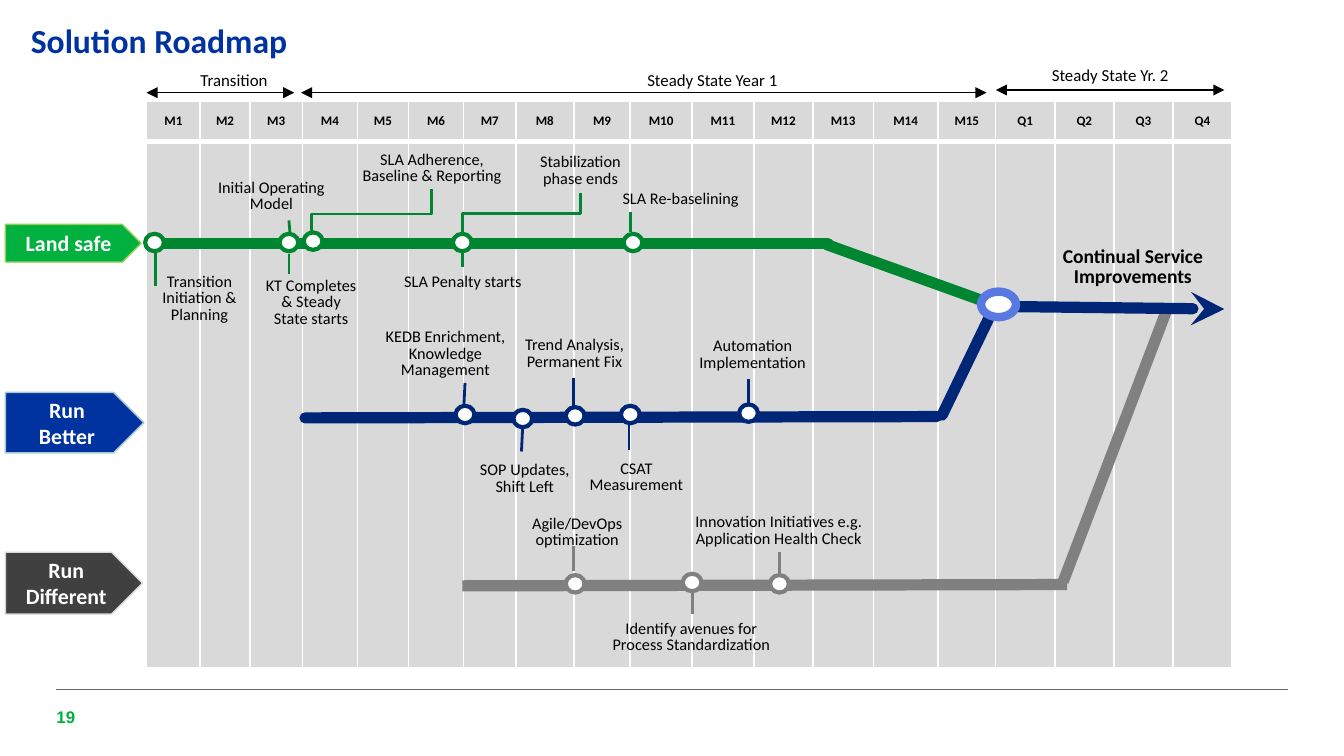
from lxml import etree
from pptx import Presentation
from pptx.dml.color import RGBColor
from pptx.enum.shapes import MSO_CONNECTOR, MSO_SHAPE
from pptx.enum.text import MSO_ANCHOR, MSO_AUTO_SIZE, PP_ALIGN
from pptx.oxml.ns import qn
from pptx.util import Cm, Pt

STRAIGHT, ELBOW = MSO_CONNECTOR.STRAIGHT, MSO_CONNECTOR.ELBOW
PENTAGON, OVAL = MSO_SHAPE.PENTAGON, MSO_SHAPE.OVAL
TOP, MIDDLE = MSO_ANCHOR.TOP, MSO_ANCHOR.MIDDLE
LEFT, CENTER = PP_ALIGN.LEFT, PP_ALIGN.CENTER
GROW = MSO_AUTO_SIZE.SHAPE_TO_FIT_TEXT

GREEN, NAVY, GREY = "008530", "002678", "808080"
BLACK, WHITE, PANEL = "000000", "FFFFFF", "D9D9D9"


def color(value):
    return RGBColor.from_string(value)


def length(inches):
    return Cm(inches * 2.54)


def set_values(target, values):
    for name, value in values.items():
        setattr(target, name, value)


class Roadmap:
    """Holds the text style and the slide being drawn."""

    font = "Calibri"
    tight = (0.07, 0.04)
    normal = (0.1, 0.05)

    def __init__(self, slide):
        self.slide = slide
        self.shapes = slide.shapes

    def set_text(self, frame, text, size, ink=BLACK, bold=False, align=CENTER,
                 spacing=1.0, anchor=TOP, insets=normal, font=font):
        across, down = map(length, insets)
        set_values(frame, {"word_wrap": True, "vertical_anchor": anchor,
                           "margin_left": across, "margin_right": across,
                           "margin_top": down, "margin_bottom": down})
        for index, line in enumerate(text.split("\n")):
            paragraph = frame.add_paragraph() if index else frame.paragraphs[0]
            set_values(paragraph, {"alignment": align, "line_spacing": spacing})
            run = paragraph.add_run()
            run.text = line
            set_values(run.font, {"name": font, "size": Pt(size), "bold": bold})
            run.font.color.rgb = color(ink)

    def text(self, box, text, size, grow=False, **style):
        frame = self.shapes.add_textbox(*map(length, box)).text_frame
        self.set_text(frame, text, size, **style)
        if grow:
            frame.auto_size = GROW

    def label(self, box, text, size=8.7, bold=False):
        self.text(box, text, size, grow=True, bold=bold, spacing=0.85,
                  insets=self.tight)

    def shape(self, kind, box, fill, line, width):
        shape = self.shapes.add_shape(kind, *map(length, box))
        shape.shadow.inherit = False
        shape.fill.solid()
        shape.fill.fore_color.rgb = color(fill)
        shape.line.color.rgb = color(line)
        shape.line.width = Pt(width)
        return shape

    def banner(self, box, text, fill, line):
        shape = self.shape(PENTAGON, box, fill, line, 0.75)
        self.set_text(shape.text_frame, text, 11.7, WHITE, True, anchor=MIDDLE)

    def line(self, ends, ink, width, head=None, tail=None, cap="flat", kind=STRAIGHT):
        connector = self.shapes.add_connector(kind, *map(length, ends))
        connector.line.color.rgb = color(ink)
        connector.line.width = Pt(width)
        properties = connector.element.spPr
        outline = properties.find(qn("a:ln"))
        outline.set("cap", cap)
        for tag, arrow in (("a:headEnd", head), ("a:tailEnd", tail)):
            if arrow:
                etree.SubElement(outline, qn(tag), type=arrow)
        etree.SubElement(properties, qn("a:effectLst"))
        return connector

    def bent_stem(self, start, end, bend, ink):
        """Elbow that leaves start vertically, drawn as a turned connector."""
        (x1, y1), (x2, y2) = start, end
        middle_x, middle_y = (x1 + x2) / 2, (y1 + y2) / 2
        half_w, half_h = abs(y2 - y1) / 2, abs(x2 - x1) / 2
        connector = self.line((middle_x + half_w, middle_y + half_h,
                               middle_x - half_w, middle_y - half_h),
                              ink, 1.5, kind=ELBOW)
        properties = connector.element.spPr
        properties.find(qn("a:xfrm")).set("rot", "5400000")
        geometry = properties.find(qn("a:prstGeom"))
        guides = geometry.find(qn("a:avLst"))
        if guides is None:
            guides = etree.SubElement(geometry, qn("a:avLst"))
        etree.SubElement(guides, qn("a:gd"), name="adj1", fmla=f"val {round(bend * 100000)}")

    def cell(self, cell, borders):
        properties = cell._tc.get_or_add_tcPr()
        for side, width in borders.items():
            border = etree.SubElement(properties, qn(f"a:ln{side}"), w=str(Pt(width)))
            fill = etree.SubElement(border, qn("a:solidFill"))
            etree.SubElement(fill, qn("a:srgbClr"), val=WHITE)
        cell.fill.solid()
        cell.fill.fore_color.rgb = color(PANEL)

    def calendar(self, box, headings, widths, heights):
        table = self.shapes.add_table(2, len(headings), *map(length, box)).table
        set_values(table, {"first_row": False, "horz_banding": False})
        for row, height in zip(table.rows, heights):
            row.height = length(height)
        across, down = map(length, self.tight)
        for index, (heading, width) in enumerate(zip(headings, widths)):
            table.columns[index].width = length(width)
            top, body = table.cell(0, index), table.cell(1, index)
            self.cell(top, {"L": 1, "R": 1, "T": 1, "B": 3})
            self.cell(body, {"L": 1, "R": 1, "T": 3, "B": 1})
            set_values(top, {"vertical_anchor": MIDDLE, "margin_left": across,
                             "margin_right": across, "margin_top": down,
                             "margin_bottom": down})
            paragraph = top.text_frame.paragraphs[0]
            paragraph.alignment = CENTER
            run = paragraph.add_run()
            run.text = heading
            set_values(run.font, {"name": self.font, "size": Pt(7), "bold": True})
            run.font.color.rgb = color(BLACK)


MONTHS = [f"M{n}" for n in range(1, 16)] + [f"Q{n}" for n in range(1, 5)]
WIDTHS = [0.4, 0.37, 0.39, 0.41, 0.38, 0.41, 0.39, 0.43, 0.42, 0.46,
          0.46, 0.44, 0.45, 0.48, 0.43] + [0.44] * 4
PHASES = [  # arrow start, end, height; caption box; caption
    (1.09, 2.19, 0.69, (1.35, 0.47, 0.78, 0.25), "Transition"),
    (2.24, 7.34, 0.69, (4.43, 0.47, 1.74, 0.25), "Steady State Year 1"),
    (7.41, 9.11, 0.67, (7.68, 0.43, 1.16, 0.25), "Steady State Yr. 2")]
BANNERS = [
    ((0.04, 1.67, 1.01, 0.28), "Land safe", "00B140", "92D050"),
    ((0.04, 2.92, 1.03, 0.45), "Run Better", "0033A0", "A3C9D3"),
    ((0.04, 4.11, 1.02, 0.46), "Run Different", "404040", PANEL)]
TRACKS = [  # colour, cap, segments
    (GREEN, "rnd", [(1.16, 1.81, 6.16, 1.81), (6.15, 1.82, 7.4, 2.27)]),
    (NAVY, "rnd", [(2.27, 3.11, 6.97, 3.1), (7.01, 3.09, 7.4, 2.28)]),
    (GREY, "flat", [(3.44, 4.36, 7.94, 4.35), (7.91, 4.33, 8.68, 2.31)])]
STEMS = {
    GREEN: [(1.16, 1.88, 1.16, 2.13), (2.15, 1.64, 2.16, 1.76), (2.15, 1.89, 2.15, 2.04),
            (3.44, 1.84, 3.44, 1.99), (4.69, 1.58, 4.69, 1.73)],
    NAVY: [(3.88, 3.36, 3.89, 3.16), (4.68, 3.35, 4.68, 3.14), (5.57, 3.02, 5.57, 2.82),
           (4.27, 3.02, 4.27, 2.81), (3.45, 3.05, 3.46, 2.85)],
    GREY: [(5.15, 4.38, 5.15, 4.57), (5.8, 4.11, 5.8, 4.3), (4.27, 4.06, 4.27, 4.25)]}
MARKERS = {
    GREEN: [(1.08, 1.74), (2.08, 1.74), (2.26, 1.73), (3.37, 1.74), (4.64, 1.74)],
    NAVY: [(3.39, 3.02), (3.82, 3.05), (4.21, 3.03), (4.62, 3.02), (5.5, 3.01)],
    GREY: [(4.21, 4.28), (5.08, 4.27), (5.73, 4.28)]}
LABELS = [
    ((1.06, 2, 0.85, 0.45), "Transition Initiation & Planning"),
    ((1.5, 1.3, 1.04, 0.32), "Initial Operating Model"),
    ((1.89, 2.03, 0.85, 0.45), "KT Completes & Steady State starts"),
    ((2.56, 1.09, 1.31, 0.32), "SLA Adherence, Baseline & Reporting"),
    ((3.87, 1.11, 0.9, 0.32), "Stabilization phase ends"),
    ((2.86, 2, 1.17, 0.2), "SLA Penalty starts"),
    ((4.48, 1.38, 1.17, 0.2), "SLA Re-baselining"),
    ((2.73, 2.41, 1.17, 0.45), "KEDB Enrichment, Knowledge Management"),
    ((3.8, 2.47, 0.95, 0.32), "Trend Analysis, Permanent Fix"),
    ((5.09, 2.48, 1.02, 0.32), "Automation Implementation"),
    ((3.44, 3.4, 0.93, 0.32), "SOP Updates, Shift Left"),
    ((4.21, 3.39, 1.05, 0.32), "CSAT Measurement"),
    ((3.8, 3.8, 0.99, 0.32), "Agile/DevOps optimization"),
    ((5.03, 3.79, 1.53, 0.32), "Innovation Initiatives e.g. Application Health Check"),
    ((4.43, 4.58, 1.43, 0.32), "Identify avenues for Process Standardization")]


def main():
    presentation = Presentation()
    set_values(presentation, {"slide_width": Cm(25.4), "slide_height": Cm(14.29)})
    roadmap = Roadmap(presentation.slides.add_slide(presentation.slide_layouts[6]))

    # Title and footer
    plain = {"bold": True, "align": LEFT, "anchor": MIDDLE, "insets": (0, 0)}
    roadmap.line((0.42, 5.13, 9.58, 5.13), "666666", 0.5)
    roadmap.text((0.23, 0.1, 9.46, 0.43), "Solution Roadmap", 18, ink="0033A0",
                 spacing=0.9, **plain)
    roadmap.text((0.42, 5.25, 0.25, 0.17), "19", 9, ink="00B140", font="Arial", **plain)

    # Calendar and phases
    roadmap.calendar((1.09, 0.75, 8.06, 4.22), MONTHS, WIDTHS, (0.3, 3.92))
    for start, end, y, box, caption in PHASES:
        roadmap.line((start, y, end, y), BLACK, 0.75, "triangle", "triangle")
        roadmap.text(box, caption, 9, grow=True)

    # Tracks
    for banner in BANNERS:
        roadmap.banner(*banner)
    for ink, cap, segments in TRACKS:
        for segment in segments:
            roadmap.line(segment, ink, 6, cap=cap)
    roadmap.line((7.41, 2.28, 9.11, 2.3), NAVY, 6, tail="stealth", cap="rnd")
    roadmap.shape(OVAL, (7.3, 2.17, 0.26, 0.19), WHITE, "5879E2", 4.5)

    # Milestones
    for ink, stems in STEMS.items():
        for stem in stems:
            roadmap.line(stem, ink, 1.5)
    roadmap.bent_stem((2.32, 1.73), (3.21, 1.41), 0.43, GREEN)
    roadmap.bent_stem((3.44, 1.74), (4.32, 1.44), 0.5, GREEN)
    for ink, corners in MARKERS.items():
        for x, y in corners:
            roadmap.shape(OVAL, (x, y, 0.14, 0.13), WHITE, ink, 2.25)
    for box, text in LABELS:
        roadmap.label(box, text)
    roadmap.label((7.68, 1.8, 1.5, 0.37), "Continual Service\nImprovements", 10.5, True)

    presentation.save("out.pptx")


if __name__ == "__main__":
    main()
